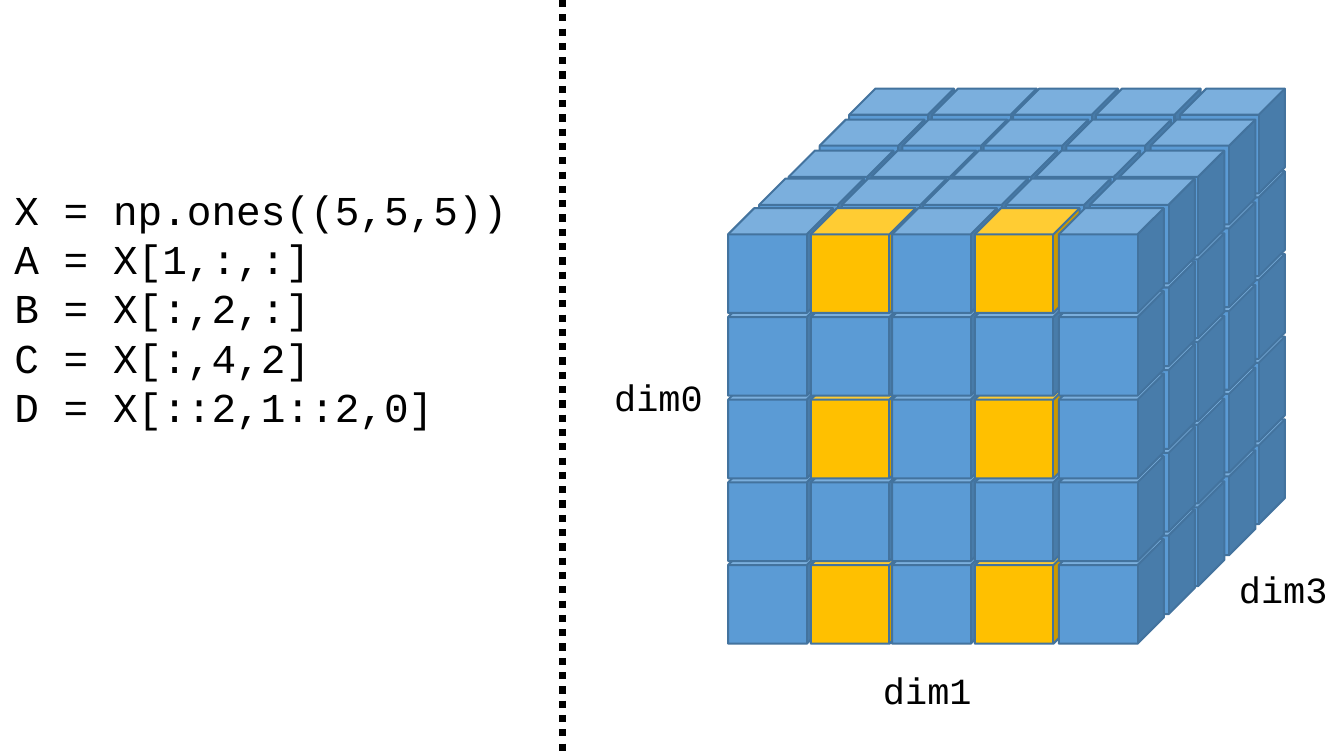
from lxml import etree
from pptx import Presentation
from pptx.dml.color import RGBColor
from pptx.enum.dml import MSO_LINE
from pptx.enum.shapes import MSO_CONNECTOR, MSO_SHAPE
from pptx.enum.text import MSO_AUTO_SIZE
from pptx.oxml.ns import qn
from pptx.util import Inches, Pt

CUBE = MSO_SHAPE.CUBE
STRAIGHT = MSO_CONNECTOR.STRAIGHT
DOTTED = MSO_LINE.ROUND_DOT
FIT_TEXT = MSO_AUTO_SIZE.SHAPE_TO_FIT_TEXT
BLUE = RGBColor(0x5B, 0x9B, 0xD5)
EDGE = RGBColor(0x43, 0x73, 0x9E)
GOLD = RGBColor(0xFF, 0xC0, 0x00)
BLACK = RGBColor(0, 0, 0)

CUBE_SIZE = 0.71
ROW_STEP = 0.56
COLUMN_OFFSETS = [0, 0.56, 1.11, 1.67, 2.24]
LAYERS = [(4, 5.75, 0.6), (3, 5.55, 0.81), (2, 5.34, 1.02), (1, 5.14, 1.21), (0, 4.93, 1.41)]

CODE = """X = np.ones((5,5,5))
A = X[1,:,:]
B = X[:,2,:]
C = X[:,4,2]
D = X[::2,1::2,0]"""

prs = Presentation()
prs.slide_width, prs.slide_height = Inches(9.1), Inches(5.1)
s = prs.slides.add_slide(prs.slide_layouts[6])

for depth, left, top in LAYERS:
    for row in reversed(range(5)):
        for col, offset in enumerate(COLUMN_OFFSETS):
            sp = s.shapes.add_shape(CUBE, Inches(left + offset), Inches(top + row * ROW_STEP),
                                    Inches(CUBE_SIZE), Inches(CUBE_SIZE))
            selected = depth == 0 and row % 2 == 0 and col % 2 == 1
            sp.shadow.inherit = False
            sp.fill.solid()
            sp.fill.fore_color.rgb = GOLD if selected else BLUE
            sp.line.color.rgb = EDGE
            sp.line.width = Pt(1)

for text, left, top, width, height, size in [
    (CODE, 0, 1.2, 3.57, 1.78, 20),
    ("dim0", 4.06, 2.49, 0.81, 0.4, 18),
    ("dim1", 5.88, 4.47, 0.81, 0.4, 18),
    ("dim3", 8.29, 3.79, 0.81, 0.4, 18),
]:
    sp = s.shapes.add_textbox(Inches(left), Inches(top), Inches(width), Inches(height))
    tf = sp.text_frame
    tf.word_wrap = False
    tf.auto_size = FIT_TEXT
    tf.text = text
    for p in tf.paragraphs:
        for r in p.runs:
            for name, value in {"name": "Courier New", "size": Pt(size)}.items():
                setattr(r.font, name, value)
            r.font.color.rgb = BLACK

divider = s.shapes.add_connector(STRAIGHT, Inches(3.81), 0, Inches(3.81), prs.slide_height)
divider.line.color.rgb = BLACK
divider.line.width = Pt(3.5)
divider.line.dash_style = DOTTED
etree.SubElement(divider._element.spPr, qn("a:effectLst"))

prs.save("out.pptx")
